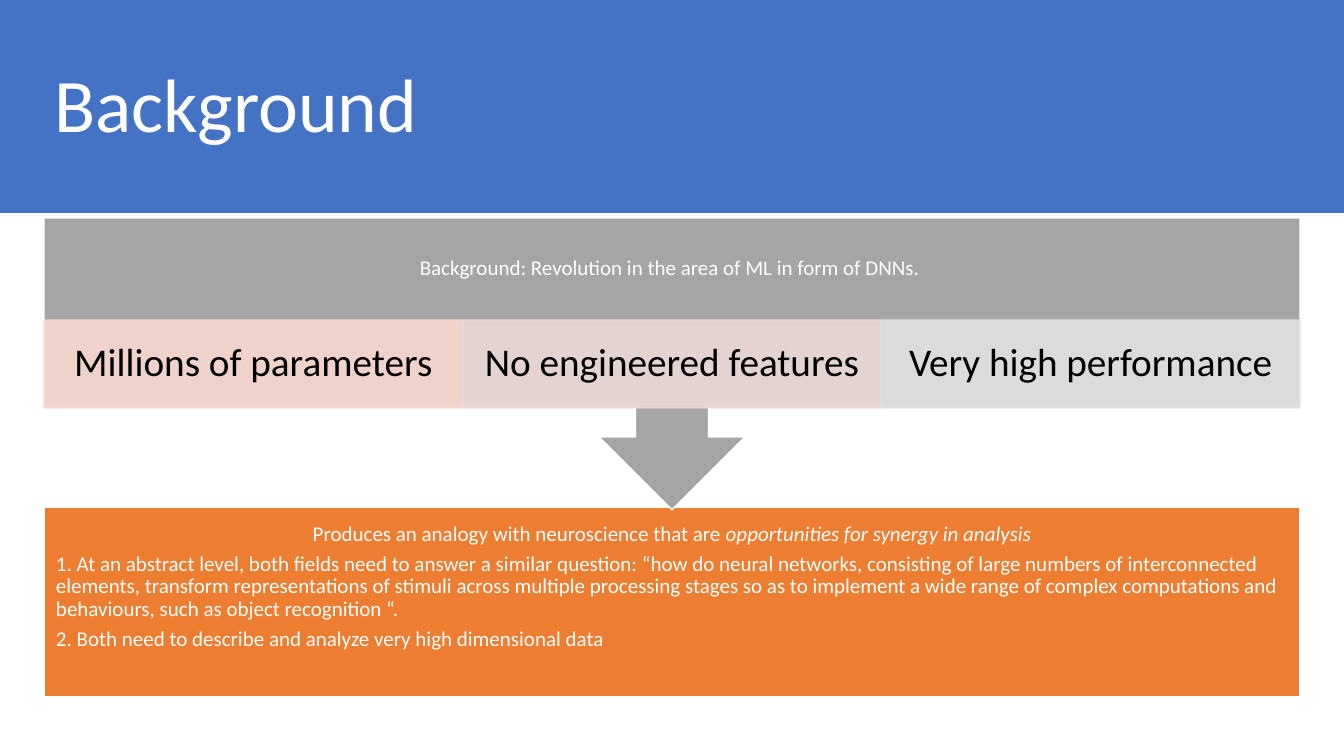
from dataclasses import dataclass

from lxml import etree
from pptx import Presentation
from pptx.dml.color import RGBColor
from pptx.enum.shapes import MSO_SHAPE
from pptx.enum.text import MSO_ANCHOR, PP_ALIGN
from pptx.oxml.ns import qn
from pptx.util import Emu, Pt

RECT, CALLOUT = MSO_SHAPE.RECTANGLE, MSO_SHAPE.DOWN_ARROW_CALLOUT
MIDDLE = MSO_ANCHOR.MIDDLE
LEFT, CENTER = PP_ALIGN.LEFT, PP_ALIGN.CENTER

TITLE = "Background"
REVOLUTION = "Background: Revolution in the area of ML in form of DNNs. "
TRAITS = [
    ("Millions of parameters", "F8D7CE"),
    ("No engineered features", "EDD9D7"),
    ("Very high performance", "E1E1E1"),
]
ANALOGY = "Produces an analogy with neuroscience that are "
ANALOGY_STRESSED = "opportunities for synergy in analysis"
REASONS = [
    "1. At an abstract level, both fields need to answer a similar question: "
    "“how do neural networks, consisting of large numbers of interconnected elements, "
    "transform representations of stimuli across multiple processing stages so as to "
    "implement a wide range of complex computations and behaviours, such as object "
    "recognition “.",
    "2. Both need to describe and analyze very high dimensional data",
]


@dataclass(frozen=True)
class Theme:
    font: str = "Calibri"
    header: str = "4472C4"
    callout: str = "A5A5A5"
    conclusion: str = "ED7D31"
    light: str = "FFFFFF"
    dark: str = "000000"
    title_size: int = 54
    trait_size: int = 28
    body_size: int = 15
    trait_opacity: int = 90


THEME = Theme()

# Layout in px
SLIDE_W, SLIDE_H = 1344, 756
MARGIN = 44
CONTENT_W = SLIDE_W - 2 * MARGIN
HEADER_H = 213
TITLE_TOP, TITLE_H = 35, 146
CALLOUT_TOP, CALLOUT_H = 218, 292
TRAIT_TOP, TRAIT_H = 320, 88
CONCLUSION_TOP, CONCLUSION_H = 507, 190
PAD = 12
CONCLUSION_FREE_LINE = 30  # room kept below the last reason


def px(length):
    return Emu(round(length * 914400 / 100.8))


def set_opacity(fill, percent):
    color = fill._xPr.find(qn("a:solidFill"))[0]
    etree.SubElement(color, qn("a:alpha")).set("val", str(percent * 1000))


def add_block(slide, kind, box, fill, outline=None, opacity=100):
    block = slide.shapes.add_shape(kind, *map(px, box))
    block.shadow.inherit = False
    block.fill.solid()
    block.fill.fore_color.rgb = RGBColor.from_string(fill)
    if outline is None:
        block.line.fill.background()
    else:
        block.line.width = Pt(1)
        block.line.color.rgb = RGBColor.from_string(outline)
    if opacity < 100:
        set_opacity(block.fill, opacity)
        set_opacity(block.line.fill, opacity)
    return block


def write(shape, paragraphs, size, color, insets):
    """Fill a shape with (alignment, [(text, italic), ...]) paragraphs."""
    frame = shape.text_frame
    frame.word_wrap = True
    frame.vertical_anchor = MIDDLE
    (frame.margin_left, frame.margin_top,
     frame.margin_right, frame.margin_bottom) = map(px, insets)
    for index, (alignment, runs) in enumerate(paragraphs):
        paragraph = frame.add_paragraph() if index else frame.paragraphs[0]
        paragraph.alignment = alignment
        paragraph.line_spacing = 0.9
        if index < len(paragraphs) - 1:
            paragraph.space_after = Pt(0.35 * size)
        for text, italic in runs:
            run = paragraph.add_run()
            run.text = text
            run.font.name = THEME.font
            run.font.size = Pt(size)
            run.font.italic = italic
            run.font.color.rgb = RGBColor.from_string(color)


def add_header(slide):
    add_block(slide, RECT, (0, 0, SLIDE_W, HEADER_H), THEME.header)
    title = slide.shapes.add_textbox(
        *map(px, (MARGIN, TITLE_TOP, CONTENT_W, TITLE_H)))
    write(title, [(LEFT, [(TITLE, False)])], THEME.title_size, THEME.light,
          (10, 5, 10, 5))


def add_conclusion(slide):
    box = (MARGIN, CONCLUSION_TOP, CONTENT_W, CONCLUSION_H)
    conclusion = add_block(slide, RECT, box, THEME.conclusion, THEME.light)
    paragraphs = [(CENTER, [(ANALOGY, False), (ANALOGY_STRESSED, True)])]
    paragraphs += [(LEFT, [(reason, False)]) for reason in REASONS]
    write(conclusion, paragraphs, THEME.body_size, THEME.light,
          (PAD, PAD, PAD, PAD + CONCLUSION_FREE_LINE))


def add_revolution(slide):
    box = (MARGIN, CALLOUT_TOP, CONTENT_W, CALLOUT_H)
    callout = add_block(slide, CALLOUT, box, THEME.callout, THEME.light)
    write(callout, [(CENTER, [(REVOLUTION, False)])], THEME.body_size,
          THEME.light, (PAD, PAD, PAD, PAD + TRAIT_H))


def add_traits(slide):
    width = CONTENT_W / len(TRAITS)
    for column, (trait, tint) in enumerate(TRAITS):
        box = (MARGIN + column * width, TRAIT_TOP, width, TRAIT_H)
        cell = add_block(slide, RECT, box, tint, tint, THEME.trait_opacity)
        write(cell, [(CENTER, [(trait, False)])], THEME.trait_size,
              THEME.dark, (22, 4, 22, 4))


def main():
    deck = Presentation()
    deck.slide_width, deck.slide_height = px(SLIDE_W), px(SLIDE_H)
    slide = deck.slides.add_slide(deck.slide_layouts[6])
    add_header(slide)
    add_conclusion(slide)
    add_revolution(slide)
    add_traits(slide)
    deck.save("out.pptx")


if __name__ == "__main__":
    main()
